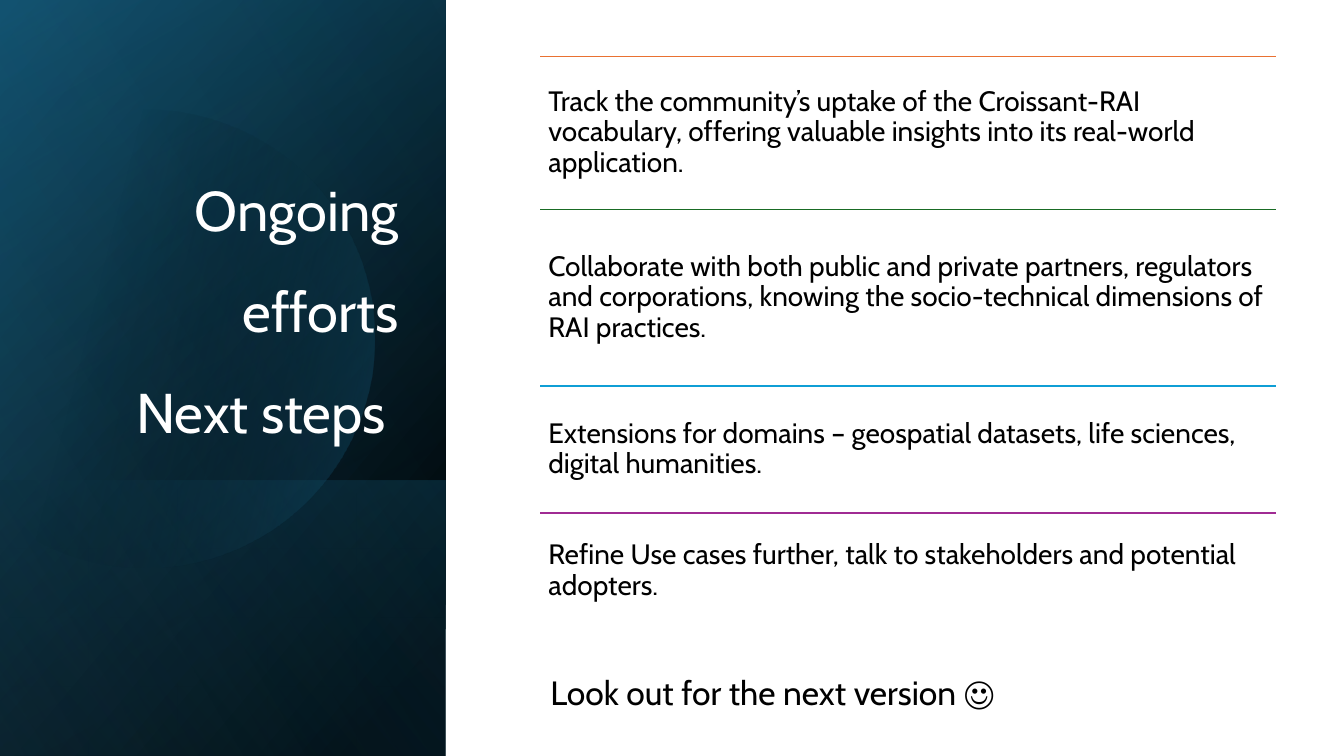
from dataclasses import dataclass
from math import acos, cos, sin

from lxml import etree
from pptx import Presentation
from pptx.dml.color import RGBColor
from pptx.enum.shapes import MSO_CONNECTOR, MSO_SHAPE
from pptx.enum.text import MSO_ANCHOR, PP_ALIGN
from pptx.oxml.ns import qn
from pptx.util import Cm, Pt

RECTANGLE = MSO_SHAPE.RECTANGLE
STRAIGHT = MSO_CONNECTOR.STRAIGHT
TOP, MIDDLE, BOTTOM = MSO_ANCHOR.TOP, MSO_ANCHOR.MIDDLE, MSO_ANCHOR.BOTTOM
LEFT, RIGHT = PP_ALIGN.LEFT, PP_ALIGN.RIGHT

BLACK = RGBColor(0x00, 0x00, 0x00)
WHITE = RGBColor(0xFF, 0xFF, 0xFF)
DEEP_BLUE = RGBColor(0x10, 0x48, 0x62)
TEAL = RGBColor(0x15, 0x60, 0x82)
SKY = RGBColor(0x46, 0xB1, 0xE1)
ORANGE = RGBColor(0xE9, 0x71, 0x32)
GREEN = RGBColor(0x19, 0x6B, 0x24)
BLUE = RGBColor(0x0F, 0x9E, 0xD5)
PURPLE = RGBColor(0xA0, 0x2B, 0x93)

FONT = "Cabin"
SLIDE_WIDTH, SLIDE_HEIGHT = 33.87, 19.05
PANEL_WIDTH = 11.23
STEP_LEFT, STEP_WIDTH = 13.62, 18.53
STEP_INSET = 0.2
CIRCLE_X, CIRCLE_Y, CIRCLE_RADIUS = 3.66, 8.53, 5.77
ARC_SEGMENTS = 120


@dataclass(frozen=True)
class Stop:
    position: int
    color: RGBColor
    opacity: int = 100


@dataclass(frozen=True)
class Panel:
    top: float
    angle: int
    stops: tuple[Stop, Stop]


@dataclass(frozen=True)
class Step:
    top: float
    height: float
    color: RGBColor
    text: str


@dataclass(frozen=True)
class Label:
    left: float
    top: float
    width: float
    height: float
    lines: tuple[str, ...]
    size: int
    color: RGBColor = BLACK
    anchor: MSO_ANCHOR = TOP
    alignment: PP_ALIGN = LEFT
    line_spacing: float = 1.0
    space_after: int = 0
    inset: float | None = None


LOWER_PANELS = (
    Panel(0, 50, (Stop(8, BLACK), Stop(100, DEEP_BLUE))),
    Panel(0, 30, (Stop(0, BLACK, 0), Stop(99, TEAL, 46))),
    Panel(12.1, 130, (Stop(2, TEAL, 29), Stop(100, BLACK, 30))),
)
CIRCLE_STOPS = (Stop(29, BLACK, 0), Stop(100, TEAL, 43))
TOP_PANEL = Panel(0, 120, (Stop(0, BLACK, 0), Stop(99, SKY, 11)))

STEPS = (
    Step(1.42, 3.86, ORANGE,
         "Track the community’s uptake of the Croissant-RAI vocabulary, "
         "offering valuable insights into its real-world application."),
    Step(5.28, 4.45, GREEN,
         "Collaborate with both public and private partners, regulators and "
         "corporations, knowing the socio-technical dimensions of RAI practices."),
    Step(9.73, 3.2, BLUE,
         "Extensions for domains – geospatial datasets, life sciences, "
         "digital humanities."),
    Step(12.93, 2.92, PURPLE,
         "Refine Use cases further, talk to stakeholders and potential adopters."),
)

TITLE = Label(0.71, 4.67, 9.58, 6.65, ("Ongoing efforts", "Next steps "), 40,
              WHITE, BOTTOM, RIGHT, 1.5)
CLOSING = Label(STEP_LEFT, 16.81, 17.12, 1.27,
                ("Look out for the next version ☺",), 24)


def apply_gradient(shape, angle: int, stops: tuple[Stop, Stop]) -> None:
    shape.shadow.inherit = False
    shape.line.fill.background()
    shape.fill.gradient()
    gradient = shape._element.spPr.find(qn("a:gradFill"))
    gradient.set("rotWithShape", "1")
    for child in list(gradient):
        gradient.remove(child)
    stop_list = etree.SubElement(gradient, qn("a:gsLst"))
    for stop in stops:
        entry = etree.SubElement(stop_list, qn("a:gs"), pos=str(stop.position * 1000))
        color = etree.SubElement(entry, qn("a:srgbClr"), val=str(stop.color))
        if stop.opacity < 100:
            etree.SubElement(color, qn("a:alpha"), val=str(stop.opacity * 1000))
    etree.SubElement(gradient, qn("a:lin"), ang=str(angle * 60000), scaled="0")


def add_panel(slide, panel: Panel) -> None:
    length = SLIDE_HEIGHT - panel.top
    left = (PANEL_WIDTH - length) / 2
    top = panel.top + (length - PANEL_WIDTH) / 2
    shape = slide.shapes.add_shape(RECTANGLE, Cm(left), Cm(top), Cm(length), Cm(PANEL_WIDTH))
    shape.rotation = 90
    shape._element.spPr.find(qn("a:xfrm")).set("flipH", "1")
    apply_gradient(shape, panel.angle, panel.stops)


def add_circle(slide) -> None:
    limit = acos(-CIRCLE_X / CIRCLE_RADIUS)
    angles = [limit * (2 * index / ARC_SEGMENTS - 1) for index in range(ARC_SEGMENTS + 1)]
    points = [(Cm(CIRCLE_X + CIRCLE_RADIUS * cos(angle)),
               Cm(CIRCLE_Y + CIRCLE_RADIUS * sin(angle))) for angle in angles]
    builder = slide.shapes.build_freeform(*points[0])
    builder.add_line_segments(points[1:], close=True)
    apply_gradient(builder.convert_to_shape(), 14, CIRCLE_STOPS)


def add_label(slide, label: Label) -> None:
    box = slide.shapes.add_textbox(Cm(label.left), Cm(label.top),
                                   Cm(label.width), Cm(label.height))
    frame = box.text_frame
    frame.word_wrap = True
    frame.vertical_anchor = label.anchor
    if label.inset is not None:
        frame.margin_left = frame.margin_right = Cm(label.inset)
        frame.margin_top = frame.margin_bottom = Cm(label.inset)
    paragraph = frame.paragraphs[0]
    paragraph.alignment = label.alignment
    paragraph.line_spacing = label.line_spacing
    paragraph.space_after = Pt(label.space_after)
    paragraph.font.name = FONT
    paragraph.font.size = Pt(label.size)
    paragraph.font.color.rgb = label.color
    for index, line in enumerate(label.lines):
        if index:
            paragraph.add_line_break()
        paragraph.add_run().text = line


def add_step(slide, step: Step) -> None:
    rule = slide.shapes.add_connector(STRAIGHT, Cm(STEP_LEFT), Cm(step.top),
                                      Cm(STEP_LEFT + STEP_WIDTH), Cm(step.top))
    rule.line.color.rgb = step.color
    rule.line.width = Pt(1)
    etree.SubElement(rule._element.spPr, qn("a:effectLst"))
    add_label(slide, Label(STEP_LEFT, step.top, STEP_WIDTH, step.height, (step.text,), 20,
                           anchor=MIDDLE, line_spacing=0.9, space_after=7,
                           inset=STEP_INSET))


def main() -> None:
    presentation = Presentation()
    presentation.slide_width = Cm(SLIDE_WIDTH)
    presentation.slide_height = Cm(SLIDE_HEIGHT)
    slide = presentation.slides.add_slide(presentation.slide_layouts[6])
    for panel in LOWER_PANELS:
        add_panel(slide, panel)
    add_circle(slide)
    add_panel(slide, TOP_PANEL)
    add_label(slide, TITLE)
    for step in STEPS:
        add_step(slide, step)
    add_label(slide, CLOSING)
    presentation.save("out.pptx")


if __name__ == "__main__":
    main()
